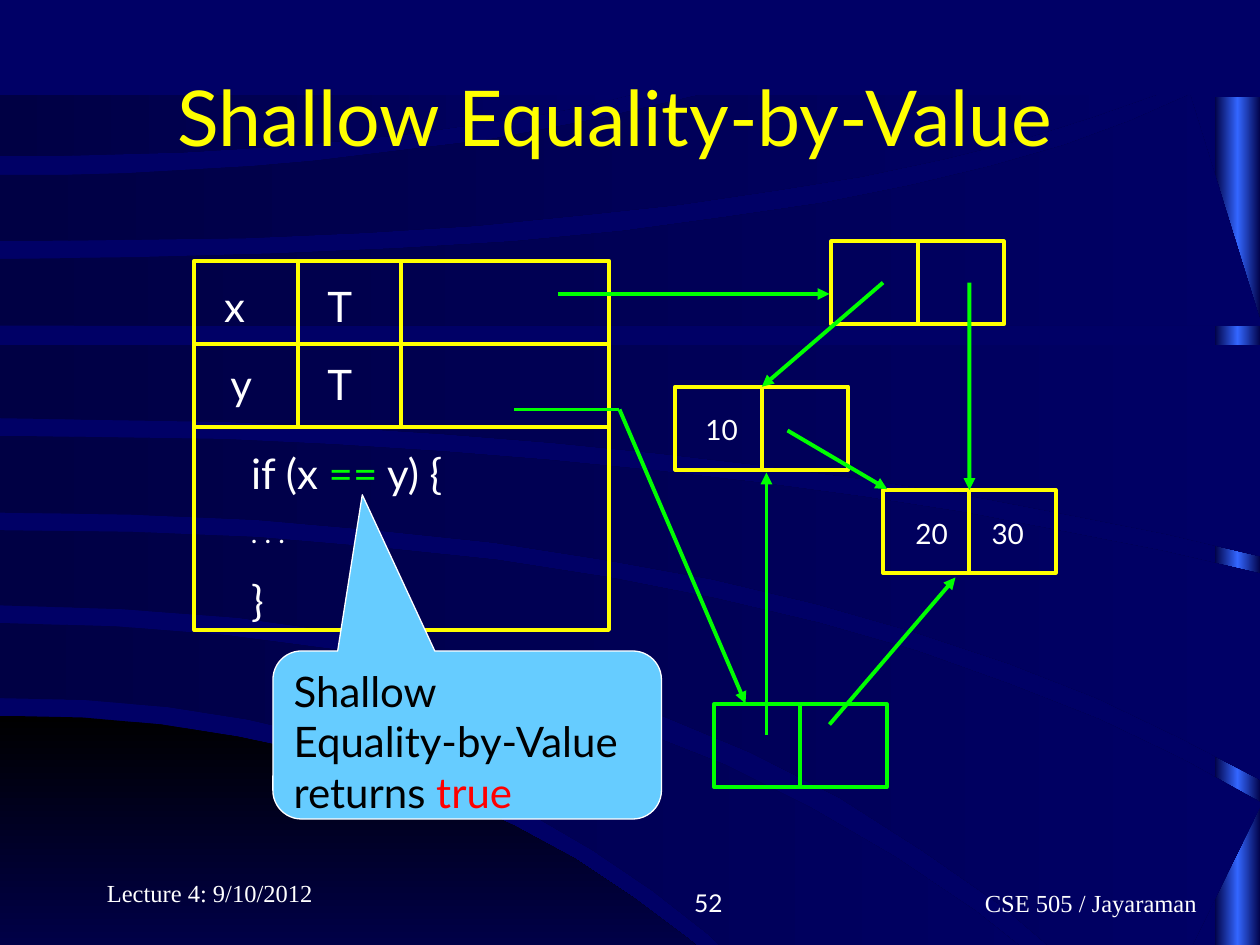
"""Builds a lecture slide on shallow equality-by-value with a state diagram."""
from copy import deepcopy

from lxml import etree
from pptx import Presentation
from pptx.dml.color import RGBColor
from pptx.enum import shapes, text
from pptx.oxml.ns import qn
from pptx.util import Pt

COLORS = {
    "ground": "000066", "dark": "000044", "black": "000000", "glow": "3366FF",
    "yellow": "FFFF00", "green": "00FF00", "white": "FFFFFF",
    "sky": "66CCFF", "red": "FF0000",
}
LATO, TIMES = "Lato", "Times New Roman"
ANCHOR, ALIGN, SIZING = text.MSO_ANCHOR, text.PP_ALIGN, text.MSO_AUTO_SIZE

RIGHT, FOOT, HEAD = 721, 594, 54
CORNER = ((409, 287, 453, FOOT), (FOOT, 226, 453, FOOT))
WAVES = [
    ((356, 400, 644, FOOT), (399, 300, 463, FOOT)),
    ((303, 458, RIGHT, 459), (346, 424, 655, FOOT)),
    ((249, 390, RIGHT, 328), (293, 454, RIGHT, 446)),
    ((197, 360, RIGHT, 197), (239, 392, RIGHT, 318)),
    ((148, 490, 680, HEAD), (186, 360, RIGHT, 186)),
    ((100, 224, 401, HEAD), (138, 446, 661, HEAD)),
    ((HEAD, 180, 361, HEAD), (89, 220, 361, HEAD)),
]
CURVE_STEPS = 12

FRAME = (111, 149, 237, 211)
ROW_HEIGHT, COLUMN_WIDTH = 47.4, 59.2
NODE_SIZE = (98.7, 47.4)
NODES = {
    "pair": (475, 138, "yellow"),
    "ten": (386, 221, "yellow"),
    "leaf": (504.6, 280, "yellow"),
    "copy": (408, 402.4, "green"),
}
LINKS = [
    ((319, 168), (474, 168), True, None),
    ((294, 234), (354, 234), False, None),
    ((354, 234), (426, 402), True, None),
    ((438, 420), (438, 270), True, None),
    ((474, 414), (546, 330), True, None),
    ((450, 246), (507, 279.5), True, None),
    ((504.6, 161.5), (435.4, 221), True, "ten"),
    ((554, 161.5), (554, 280), True, "leaf"),
]

LABELS = [
    (121, 156.5, "x", 24), (124.5, 201.5, "y", 24),
    (180, 156.5, "T", 24), (180, 201.5, "T", 24),
    (396, 232, "10", 16), (516, 291.5, "20", 16), (559.5, 291.5, "30", 16),
]
CODE = [
    (0, [("    ", 16, "white"), ("if (x ", 24, "white"), ("==", 24, "green"),
         (" y) {", 24, "white")]),
    (10, [("    . . .", 16, "white")]),
    (15, [("    ", 16, "white"), ("}", 24, "white")]),
]
VERDICT = [
    (0, [("Shallow", 24, "black")]),
    (0, [("Equality-by-Value returns ", 24, "black"), ("true", 24, "red")]),
]
TITLE = [(0, [("Shallow Equality-by-Value", 44, "yellow")])]
FOOTERS = [
    ((54, 486, 150, 36), "Lecture 4: 9/10/2012", TIMES, ALIGN.LEFT, 7.2),
    ((270, 492, 150, 36), "52", LATO, ALIGN.RIGHT, 7.2),
    ((474, 492, 228, 36), "CSE 505 / Jayaraman", TIMES, ALIGN.RIGHT, 18),
]


def rgb(color):
    return RGBColor.from_string(COLORS[color])


def pts(values):
    return [Pt(value) for value in values]


def apply(target, **formats):
    for key, value in formats.items():
        setattr(target, key, value)


def write(shape, paragraphs, font=LATO, align=ALIGN.LEFT, **frame_formats):
    frame = shape.text_frame
    apply(frame, **{"word_wrap": True, "vertical_anchor": ANCHOR.TOP, **frame_formats})
    for index, (gap, runs) in enumerate(paragraphs):
        paragraph = frame.add_paragraph() if index else frame.paragraphs[0]
        apply(paragraph, alignment=align, space_before=Pt(gap))
        for words, size, color in runs:
            run = paragraph.add_run()
            run.text = words
            apply(run.font, name=font, size=Pt(size))
            run.font.color.rgb = rgb(color)


def shade(shape, stops, angle=0):
    shape.shadow.inherit = False
    shape.line.fill.background()
    shape.fill.gradient()
    shape.fill.gradient_angle = angle
    stop_list = shape.fill._fill._gradFill.find(qn("a:gsLst"))
    while len(stop_list) < len(stops):
        stop_list.append(deepcopy(stop_list[-1]))
    for index, (stop, color) in enumerate(zip(shape.fill.gradient_stops, stops)):
        stop.position = index / (len(stops) - 1)
        stop.color.rgb = rgb(color)


def curve(start_y, bend_x, end_x, end_y):
    """Return points on a curve that leaves the left edge level."""
    points = []
    for step in range(CURVE_STEPS + 1):
        t = step / CURVE_STEPS
        points.append((2 * t * (1 - t) * bend_x + t * t * end_x,
                       start_y + t * t * (end_y - start_y)))
    return points


def outline(slide, box, color):
    rect = slide.shapes.add_shape(shapes.MSO_SHAPE.RECTANGLE, *pts(box))
    rect.shadow.inherit = False
    rect.fill.background()
    rect.line.color.rgb = rgb(color)
    rect.line.width = Pt(2.25)
    return rect


def connect(slide, start, end, color, arrow=False):
    link = slide.shapes.add_connector(
        shapes.MSO_CONNECTOR.STRAIGHT, *pts(start), *pts(end))
    link.line.color.rgb = rgb(color)
    link.line.width = Pt(2.25)
    if arrow:
        etree.SubElement(link.line._get_or_add_ln(), qn("a:tailEnd"), type="triangle")
    etree.SubElement(link._element.spPr, qn("a:effectLst"))
    return link


def draw_backdrop(slide):
    slide.background.fill.solid()
    slide.background.fill.fore_color.rgb = rgb("ground")
    side_bar = slide.shapes.add_shape(
        shapes.MSO_SHAPE.RECTANGLE, *pts((694, 55.5, 26.5, 540)))
    shade(side_bar, ["dark", "glow", "dark"])
    bands = [(CORNER, "black", 270)] + [(wave, "dark", 0) for wave in WAVES]
    for (upper, lower), color, angle in bands:
        points = curve(*upper) + curve(*lower)[::-1]
        builder = slide.shapes.build_freeform(*points[0], scale=Pt(1))
        builder.add_line_segments(points[1:], close=True)
        shade(builder.convert_to_shape(), [color, "ground"], angle)


def draw_diagram(slide):
    left, top, width, _ = FRAME
    outline(slide, FRAME, "yellow")
    for step in (1, 2):
        row, column = top + step * ROW_HEIGHT, left + step * COLUMN_WIDTH
        connect(slide, (left, row), (left + width, row), "yellow")
        connect(slide, (column, top), (column, top + 2 * ROW_HEIGHT), "yellow")
    nodes = {}
    for key, (x, y, color) in NODES.items():
        nodes[key] = outline(slide, (x, y, *NODE_SIZE), color)
        divider = connect(slide, (x, y), (x, y), color)
        divider.begin_connect(nodes[key], 0)
        divider.end_connect(nodes[key], 2)
    for start, end, arrow, target in LINKS:
        link = connect(slide, start, end, "green", arrow)
        if target:
            link.end_connect(nodes[target], 0)


def draw_words(slide):
    add_box = slide.shapes.add_textbox
    grow = {"auto_size": SIZING.SHAPE_TO_FIT_TEXT}
    for x, y, label, size in LABELS:
        write(add_box(*pts((x, y, 49, 1.2 * size + 7.2))),
              [(0, [(label, size, "white")])], **grow)
    write(add_box(*pts((120, 252, 187, 109.5))), CODE, **grow)
    callout = slide.shapes.add_shape(
        shapes.MSO_SHAPE.ROUNDED_RECTANGULAR_CALLOUT, *pts((156, 372, 222, 96)))
    for index, value in enumerate((-0.27, -1.43, 0.17)):
        callout.adjustments[index] = value
    callout.shadow.inherit = False
    callout.fill.solid()
    callout.fill.fore_color.rgb = rgb("sky")
    callout.line.color.rgb = rgb("white")
    callout.line.width = Pt(0.75)
    write(callout, VERDICT)
    write(add_box(*pts((94.5, 36, 543, 60.5))), TITLE, word_wrap=False, **grow)
    for box, words, font, align, margin in FOOTERS:
        write(add_box(*pts(box)), [(0, [(words, 14, "white")])], font, align,
              vertical_anchor=ANCHOR.BOTTOM, margin_right=Pt(margin))


def main():
    deck = Presentation()
    apply(deck, slide_width=Pt(720), slide_height=Pt(540))
    slide = deck.slides.add_slide(deck.slide_layouts[6])
    for draw in (draw_backdrop, draw_diagram, draw_words):
        draw(slide)
    deck.save("out.pptx")


if __name__ == "__main__":
    main()
